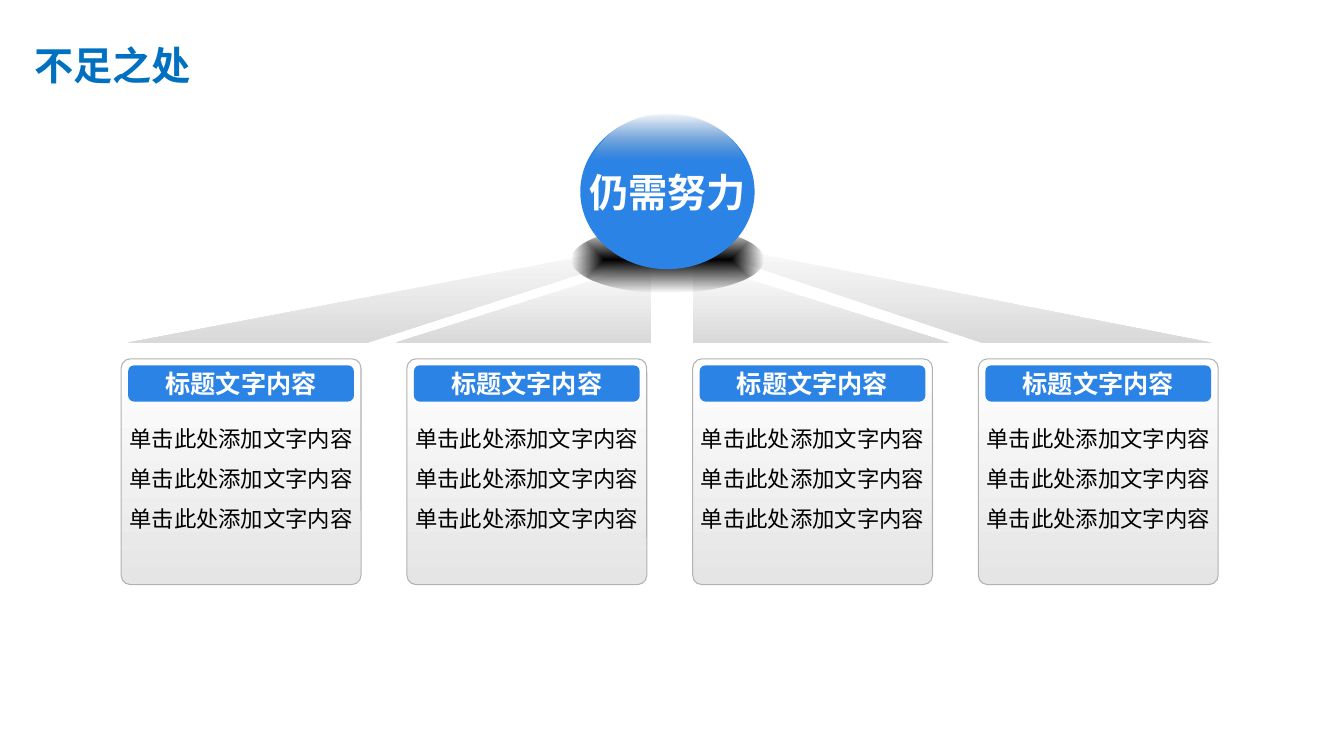
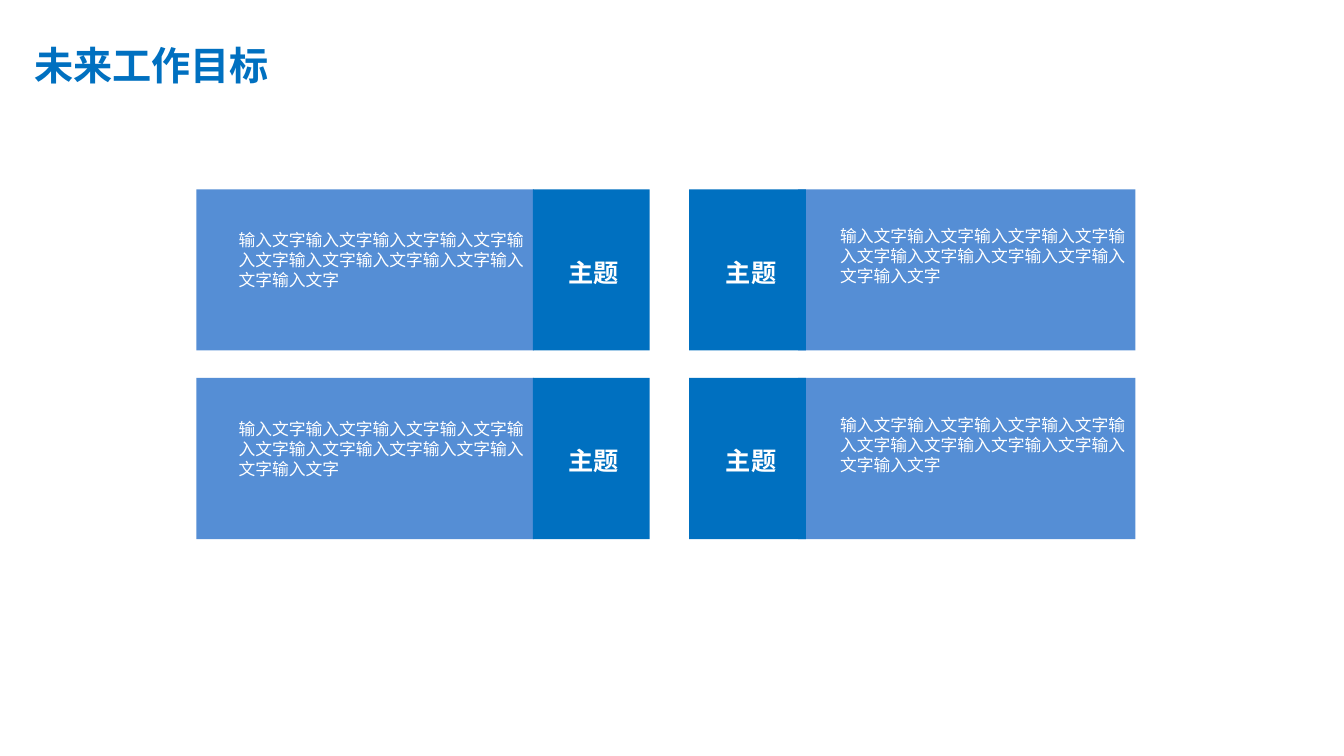
import math
from dataclasses import dataclass

from lxml import etree
from pptx import Presentation
from pptx import util as u
from pptx.dml.color import RGBColor
from pptx.enum import shapes, text
from pptx.oxml import ns

Pt = u.Pt
Kind = shapes.MSO_SHAPE
Align = text.PP_ALIGN
Anchor = text.MSO_ANCHOR


@dataclass(frozen=True)
class Theme:
    title: str = "0070C0"
    accent: str = "2B83E5"
    panel: str = "558ED5"
    white: str = "FFFFFF"
    black: str = "000000"
    beam: str = "D9D9D9"
    card: str = "E5E5E5"
    card_line: str = "B2B2B2"
    gloss: str = "B6B6B6"
    font: str = "Noto Sans CJK SC"
    header_font: str = "Calibri"
    title_size: int = 28
    heading_size: int = 18
    card_size: int = 16
    body_size: int = 12


THEME = Theme()


def add_child(parent, tag, **attributes):
    child = etree.SubElement(parent, ns.qn(tag))
    for name, value in attributes.items():
        child.set(name, str(value))
    return child


def style(shape, color=None):
    shape.shadow.inherit = False
    shape.line.fill.background()
    if color:
        shape.fill.solid()
        shape.fill.fore_color.rgb = RGBColor.from_string(color)
    return shape


def fill_gradient(shape, first, last, last_alpha=100, radial=False):
    shape.fill.background()
    properties = shape.element.spPr
    empty_fill = properties.find(ns.qn("a:noFill"))
    gradient = etree.Element(ns.qn("a:gradFill"), rotWithShape="1")
    stops = add_child(gradient, "a:gsLst")
    for position, color, alpha in ((0, first, 100), (100, last, last_alpha)):
        stop = add_child(stops, "a:gs", pos=position * 1000)
        value = add_child(stop, "a:srgbClr", val=color)
        if alpha < 100:
            add_child(value, "a:alpha", val=alpha * 1000)
    if radial:
        route = add_child(gradient, "a:path", path="shape")
        add_child(route, "a:fillToRect", l=50000, t=50000, r=50000, b=50000)
    else:
        add_child(gradient, "a:lin", ang=90 * 60000, scaled=0)
    properties.replace(empty_fill, gradient)


def add_block(slide, kind, box, color=None, rounding=None):
    shape = slide.shapes.add_shape(kind, *map(Pt, box))
    if rounding is not None:
        shape.adjustments[0] = rounding
    return style(shape, color)


def add_outline(slide, points):
    corners = [(Pt(x), Pt(y)) for x, y in points]
    builder = slide.shapes.build_freeform(*corners[0])
    builder.add_line_segments(corners[1:], close=True)
    return style(builder.convert_to_shape())


def write(shape, lines, size, color, bold=False, align=Align.CENTER,
          anchor=Anchor.MIDDLE, wrap=False, spacing=None, font=THEME.font):
    frame = shape.text_frame
    frame.word_wrap = wrap
    frame.vertical_anchor = anchor
    for index, line in enumerate(lines):
        paragraph = frame.add_paragraph() if index else frame.paragraphs[0]
        paragraph.alignment = align
        if spacing:
            paragraph.line_spacing = spacing
        run = paragraph.add_run()
        run.text = line
        run.font.size = Pt(size)
        run.font.bold = bold
        run.font.color.rgb = RGBColor.from_string(color)
        run.font.name = font
        add_child(run.font._element, "a:ea", typeface=THEME.font)


def add_text(slide, box, lines, size, color, **options):
    shape = slide.shapes.add_textbox(*map(Pt, box))
    write(shape, lines, size, color, anchor=Anchor.TOP, **options)


def add_titled_slide(presentation, title):
    slide = presentation.slides.add_slide(presentation.slide_layouts[6])
    add_text(slide, (17.3, 25.9, 266.4, 41), [title], THEME.title_size,
             THEME.title, bold=True, align=Align.LEFT, wrap=True)
    return slide


def add_beams(slide, base):
    beams = (
        ((468.7, 167), (702, base), (865.4, base)),
        ((506.2, 166.3), (91.4, base), (262.1, base)),
        ((465.1, 187.2), (283, base), (465.1, base)),
        ((495.4, 187.2), (678.2, base), (495.4, base)),
    )
    for points in beams:
        fill_gradient(add_outline(slide, points), THEME.white, THEME.beam)


def add_card(slide, left, top, width, height, heading, lines):
    card = add_block(slide, Kind.ROUNDED_RECTANGLE, (left, top, width, height),
                     rounding=0.041)
    fill_gradient(card, THEME.white, THEME.card)
    card.line.color.rgb = RGBColor.from_string(THEME.card_line)
    card.line.width = Pt(0.75)
    write(card, lines, THEME.card_size, THEME.black, spacing=1.5)
    header = add_block(slide, Kind.ROUNDED_RECTANGLE,
                       (left + 5, top + 4.6, width - 10, 26), THEME.accent, 0.167)
    write(header, [heading], THEME.heading_size, THEME.white, bold=True,
          font=THEME.header_font)


def add_sphere(slide, left, top, width, height, label):
    center = left + width / 2
    shadow = add_block(slide, Kind.OVAL, (center - 68.4, top + 80.6, 136.8, 46.8))
    fill_gradient(shadow, THEME.black, THEME.black, last_alpha=0, radial=True)
    sphere = add_block(slide, Kind.OVAL, (left, top, width, height), THEME.accent)
    write(sphere, [label], THEME.title_size, THEME.white, bold=True)
    radius_x, radius_y, first_angle, steps = 59.8, 54, 22.8, 60
    middle = top - 0.8 + radius_y
    arc = []
    for step in range(steps + 1):
        angle = math.radians(first_angle + (180 - 2 * first_angle) * step / steps)
        arc.append((center - radius_x * math.cos(angle),
                    middle - radius_y * math.sin(angle)))
    fill_gradient(add_outline(slide, arc), THEME.white, THEME.gloss, last_alpha=0)


def build_shortcomings(presentation):
    slide = add_titled_slide(presentation, "不足之处")
    add_beams(slide, 244.8)
    for column in range(4):
        add_card(slide, 86.6 + 204.2 * column, 256.3, 171.4, 161.3,
                 "标题文字内容", ["单击此处添加文字内容"] * 3)
    add_sphere(slide, 414.7, 81.4, 124.6, 110.9, "仍需努力")


def add_goal(slide, left, top, height, tab_first):
    tab_width, body_width = 83.5, 241.2
    if tab_first:
        tab_left, body_left, label_shift, text_drop = left, left + 77.8, 18.7, 22.5
    else:
        tab_left, body_left, label_shift, text_drop = left + 240.5, left, 18, 25.2
    add_block(slide, Kind.RECTANGLE, (body_left, top, body_width, height), THEME.panel)
    add_text(slide, (body_left + 23, top + text_drop, body_width - 23, 51),
             ["输入文字" * 10], THEME.body_size, THEME.white,
             align=Align.LEFT, wrap=True)
    add_block(slide, Kind.RECTANGLE, (tab_left, top, tab_width, height), THEME.title)
    add_text(slide, (tab_left + label_shift, top + 44.8, 51, 29), ["主题"],
             THEME.heading_size, THEME.white, bold=True)


def build_goals(presentation):
    slide = add_titled_slide(presentation, "未来工作目标")
    for top in (135.2, 270):
        for left, tab_first in ((140.4, False), (492.5, True)):
            add_goal(slide, left, top, 115.2, tab_first)


def main():
    presentation = Presentation()
    presentation.slide_width = Pt(960.48)
    presentation.slide_height = Pt(540)
    build_shortcomings(presentation)
    build_goals(presentation)
    presentation.save("out.pptx")


if __name__ == "__main__":
    main()
